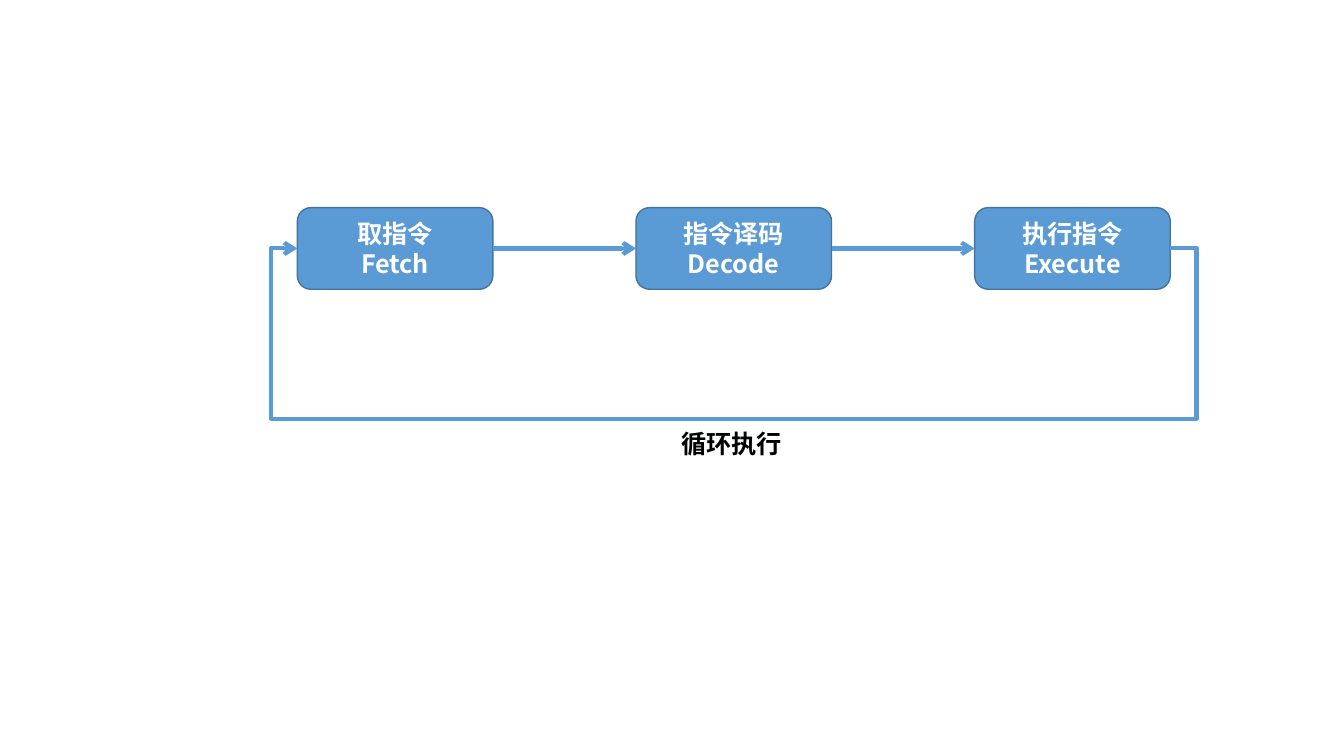
import pptx
import pptx.dml.color
import pptx.enum.shapes
import pptx.enum.text
import pptx.oxml
import pptx.oxml.ns
import pptx.util
from lxml import etree

Pt = pptx.util.Pt
RGBColor = pptx.dml.color.RGBColor
SHAPES = pptx.enum.shapes.MSO_SHAPE

WHITE = RGBColor(0xFF, 0xFF, 0xFF)
BLACK = RGBColor(0x00, 0x00, 0x00)
BLUE = RGBColor(0x5B, 0x9B, 0xD5)
DARK_BLUE = RGBColor(0x43, 0x73, 0x9E)

FONT = "Noto Sans CJK SC"
STAGES = [("取指令", "Fetch"), ("指令译码", "Decode"), ("执行指令", "Execute")]
LOOP_LABEL = "循环执行"

CYCLE_BOX = (112.3, 108.7, 815, 251.3)
STAGE_WIDTH, STAGE_HEIGHT = 139.7, 58.3
STAGE_PITCH = 241.92
STAGE_INSET = (100.1, 39.6)
LOOP_OVERHANG = 18.7
LOOP_DROP = 121.6


def add_xml(parent, tag, **attributes):
    return etree.SubElement(parent, pptx.oxml.ns.qn(tag), attributes)


def write_lines(shape, lines, color, alignment):
    frame = shape.text_frame
    for number, line in enumerate(lines):
        para = frame.add_paragraph() if number else frame.paragraphs[0]
        para.alignment = alignment
        span = para.add_run()
        span.text = line
        for name, value in {"name": FONT, "size": Pt(18), "bold": True}.items():
            setattr(span.font, name, value)
        span.font.color.rgb = color
        add_xml(span.font._element, "a:ea", typeface=FONT)


def add_block(slide, kind, box, fill, outline):
    block = slide.shapes.add_shape(kind, *map(Pt, box))
    block.shadow.inherit = False
    block.fill.solid()
    block.fill.fore_color.rgb = fill
    block.line.color.rgb = outline
    block.line.width = Pt(1)
    return block


def style_arrow(arrow):
    arrow.line.color.rgb = BLUE
    arrow.line.width = Pt(3)
    add_xml(arrow.line._get_or_add_ln(), "a:tailEnd", type="arrow")


def add_stage(slide, box, lines):
    stage = add_block(slide, SHAPES.ROUNDED_RECTANGLE, box, BLUE, DARK_BLUE)
    stage.text_frame.vertical_anchor = pptx.enum.text.MSO_ANCHOR.MIDDLE
    write_lines(stage, lines, WHITE, pptx.enum.text.PP_ALIGN.CENTER)
    return stage


def join_stages(slide, source, target):
    straight = pptx.enum.shapes.MSO_CONNECTOR.STRAIGHT
    arrow = slide.shapes.add_connector(straight, 0, 0, 0, 0)
    arrow.begin_connect(source, 3)
    arrow.end_connect(target, 1)
    style_arrow(arrow)
    add_xml(arrow._element.spPr, "a:effectLst")


def add_loop(slide, start, end, middle):
    """Lead from the last stage's right side under the row to the first stage."""
    bottom = middle + LOOP_DROP
    right, left = start + LOOP_OVERHANG, end - LOOP_OVERHANG
    corners = [(right, middle), (right, bottom), (left, bottom), (left, middle), (end, middle)]
    builder = slide.shapes.build_freeform(Pt(start), Pt(middle))
    builder.add_line_segments([(Pt(x), Pt(y)) for x, y in corners], close=False)
    loop = builder.convert_to_shape()
    loop.fill.background()
    style_arrow(loop)
    loop.shadow.inherit = False


def add_loop_label(slide, box):
    label = slide.shapes.add_textbox(*map(Pt, box))
    label.text_frame.word_wrap = True
    label.text_frame.auto_size = pptx.enum.text.MSO_AUTO_SIZE.SHAPE_TO_FIT_TEXT
    write_lines(label, [LOOP_LABEL], BLACK, pptx.enum.text.PP_ALIGN.LEFT)


def add_instruction_cycle(slide, box):
    left, top = box[0] + STAGE_INSET[0], box[1] + STAGE_INSET[1]
    add_block(slide, SHAPES.RECTANGLE, box, WHITE, WHITE)
    stages = [
        add_stage(slide, (left + number * STAGE_PITCH, top, STAGE_WIDTH, STAGE_HEIGHT), lines)
        for number, lines in enumerate(STAGES)
    ]
    for source, target in zip(stages, stages[1:]):
        join_stages(slide, source, target)
    row_right = left + (len(STAGES) - 1) * STAGE_PITCH + STAGE_WIDTH
    middle = top + STAGE_HEIGHT / 2
    add_loop(slide, row_right, left, middle)
    add_loop_label(slide, (left + 267.1, middle + LOOP_DROP + 3.4, 89.3, 29.1))


def main():
    deck = pptx.Presentation()
    deck.slide_width, deck.slide_height = Pt(960), Pt(540)
    page = deck.slides.add_slide(deck.slide_layouts[6])
    add_instruction_cycle(page, CYCLE_BOX)
    deck.save("out.pptx")


if __name__ == "__main__":
    main()
